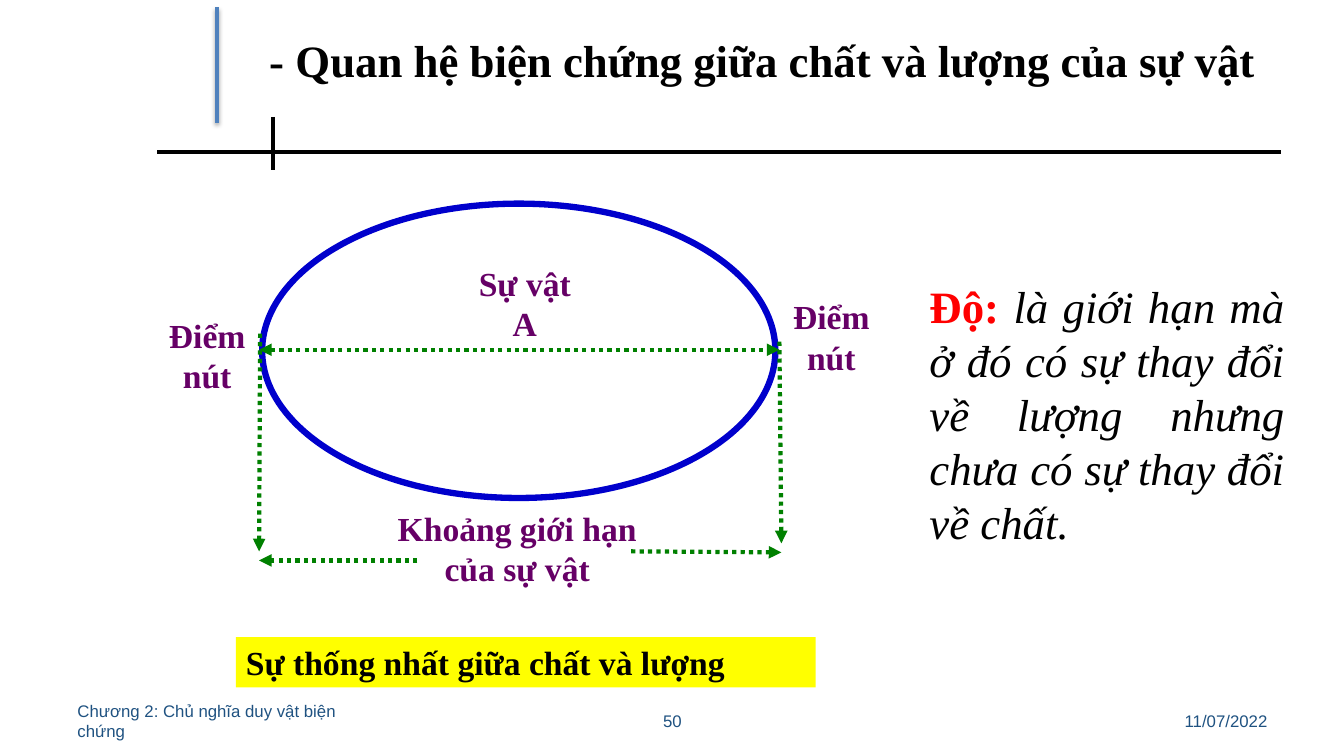
from lxml import etree
from pptx import Presentation
from pptx import util as u
from pptx.dml.color import RGBColor
from pptx.enum import dml, shapes, text
from pptx.oxml import ns

BLACK = RGBColor(0x00, 0x00, 0x00)
WHITE = RGBColor(0xFF, 0xFF, 0xFF)
RED = RGBColor(0xFF, 0x00, 0x00)
YELLOW = RGBColor(0xFF, 0xFF, 0x00)
PURPLE = RGBColor(0x66, 0x00, 0x66)
GREEN = RGBColor(0x00, 0x80, 0x00)
OUTLINE_BLUE = RGBColor(0x00, 0x00, 0xCC)
ACCENT_BLUE = RGBColor(0x4F, 0x81, 0xBD)
FOOTER_BLUE = RGBColor(0x1F, 0x52, 0x81)

SERIF, SANS = "Times New Roman", "Arial"
LEFT, CENTER, RIGHT, JUSTIFY = (
    text.PP_ALIGN.LEFT, text.PP_ALIGN.CENTER, text.PP_ALIGN.RIGHT, text.PP_ALIGN.JUSTIFY)
TOP, MIDDLE = text.MSO_ANCHOR.TOP, text.MSO_ANCHOR.MIDDLE


def inches(values):
    return [u.Inches(value) for value in values]


class Page:
    """Holds the current slide and the style of its elements."""

    def __init__(self, deck):
        self.slide = deck.slides.add_slide(deck.slide_layouts[5])

    def fill_text(self, box, spans, align=LEFT, anchor=TOP):
        """Fill a box with one paragraph of (text, size, colour, bold, italic, font) spans."""
        frame = box.text_frame
        frame.word_wrap = True
        frame.auto_size = text.MSO_AUTO_SIZE.NONE
        frame.vertical_anchor = anchor
        para = frame.paragraphs[0]
        para.alignment = align
        for words, size, color, bold, italic, font in spans:
            span = para.add_run()
            span.text = words
            span.font.size = u.Pt(size)
            span.font.color.rgb = color
            span.font.bold = bold
            span.font.italic = italic
            span.font.name = font

    def title(self, words, place):
        box = self.slide.shapes.title
        box.left, box.top, box.width, box.height = inches(place)
        self.fill_text(box, [(words, 32, BLACK, True, False, SERIF)])

    def textbox(self, place, spans, align=LEFT, anchor=TOP):
        self.fill_text(self.slide.shapes.add_textbox(*inches(place)), spans, align, anchor)

    def label(self, words, place):
        self.textbox(place, [(words, 24, PURPLE, True, False, SERIF)], CENTER)

    def footer(self, words, place, align):
        self.textbox(place, [(words, 12, FOOTER_BLUE, False, False, SANS)], align, MIDDLE)

    def shape(self, kind, place, fill, line=None, width=0):
        figure = self.slide.shapes.add_shape(kind, *inches(place))
        figure.shadow.inherit = False
        figure.fill.solid()
        figure.fill.fore_color.rgb = fill
        if line is None:
            figure.line.fill.background()
        else:
            figure.line.color.rgb = line
            figure.line.width = u.Pt(width)
        return figure

    def line(self, start, end, color, shadow=False):
        rule = self.slide.shapes.add_connector(
            shapes.MSO_CONNECTOR.STRAIGHT, *inches(start + end))
        rule.line.color.rgb = color
        rule.line.width = u.Pt(3)
        effects = etree.SubElement(rule._element.spPr, ns.qn("a:effectLst"))
        if shadow:
            cast = etree.SubElement(
                effects, ns.qn("a:outerShdw"), blurRad=str(u.Pt(3.1)),
                dist=str(u.Pt(1.8)), dir="5400000", rotWithShape="0")
            tint = etree.SubElement(cast, ns.qn("a:srgbClr"), val=str(BLACK))
            etree.SubElement(tint, ns.qn("a:alpha"), val="35000")
        return rule

    def dotted_arrow(self, start, end, ends=("tailEnd",)):
        arrow = self.line(start, end, GREEN)
        arrow.line.dash_style = dml.MSO_LINE.ROUND_DOT
        stroke = arrow.line._get_or_add_ln()
        for tip in ends:
            etree.SubElement(stroke, ns.qn(f"a:{tip}"), type="triangle")


def main():
    deck = Presentation()
    deck.slide_width, deck.slide_height = u.Inches(13.33), u.Inches(7.5)
    page = Page(deck)

    page.line((1.56, 1.51), (12.71, 1.51), BLACK)
    page.line((2.71, 1.16), (2.71, 1.69), BLACK)
    page.line((2.15, 0.07), (2.15, 1.22), ACCENT_BLUE, shadow=True)
    page.title("- Quan hệ biện chứng giữa chất và lượng của sự vật",
               (2.57, 0.27, 10.27, 0.64))

    page.shape(shapes.MSO_SHAPE.OVAL, (2.6, 2.02, 5.09, 2.92), WHITE, OUTLINE_BLUE, 4.5)
    page.dotted_arrow((2.57, 3.47), (7.73, 3.47), ("headEnd", "tailEnd"))
    for start, end in (
            ((4.14, 5.56), (2.57, 5.56)),
            ((6.26, 5.47), (7.75, 5.48)),
            ((2.58, 3.31), (2.57, 5.47)),
            ((7.73, 3.39), (7.75, 5.39))):
        page.dotted_arrow(start, end)

    for words, place in (
            ("Điểm nút", (1.34, 3.07, 1.43, 0.91)),
            ("Khoảng giới hạn của sự vật", (3.83, 4.99, 2.6, 0.91)),
            ("Sự vật A", (4.53, 2.56, 1.35, 0.91)),
            ("Điểm nút", (7.57, 2.89, 1.35, 0.91))):
        page.label(words, place)

    page.textbox((9.12, 2.72, 3.72, 2.79), [
        ("Độ: ", 32, RED, True, False, SERIF),
        ("là giới hạn mà ở đó có sự thay đổi về lượng nhưng chưa có sự thay đổi về chất.",
         32, BLACK, False, True, SERIF)], JUSTIFY)

    banner = page.shape(shapes.MSO_SHAPE.RECTANGLE, (2.34, 6.32, 5.75, 0.5), YELLOW)
    page.fill_text(banner, [
        ("Sự thống nhất giữa chất và lượng", 24, BLACK, True, False, SERIF)])

    page.footer("Chương 2: Chủ nghĩa duy vật biện chứng", (0.67, 6.95, 3.11, 0.4), LEFT)
    page.footer("50", (4.56, 6.95, 4.22, 0.4), CENTER)
    page.footer("11/07/2022", (9.56, 6.95, 3.11, 0.4), RIGHT)
    deck.save("out.pptx")


if __name__ == "__main__":
    main()
